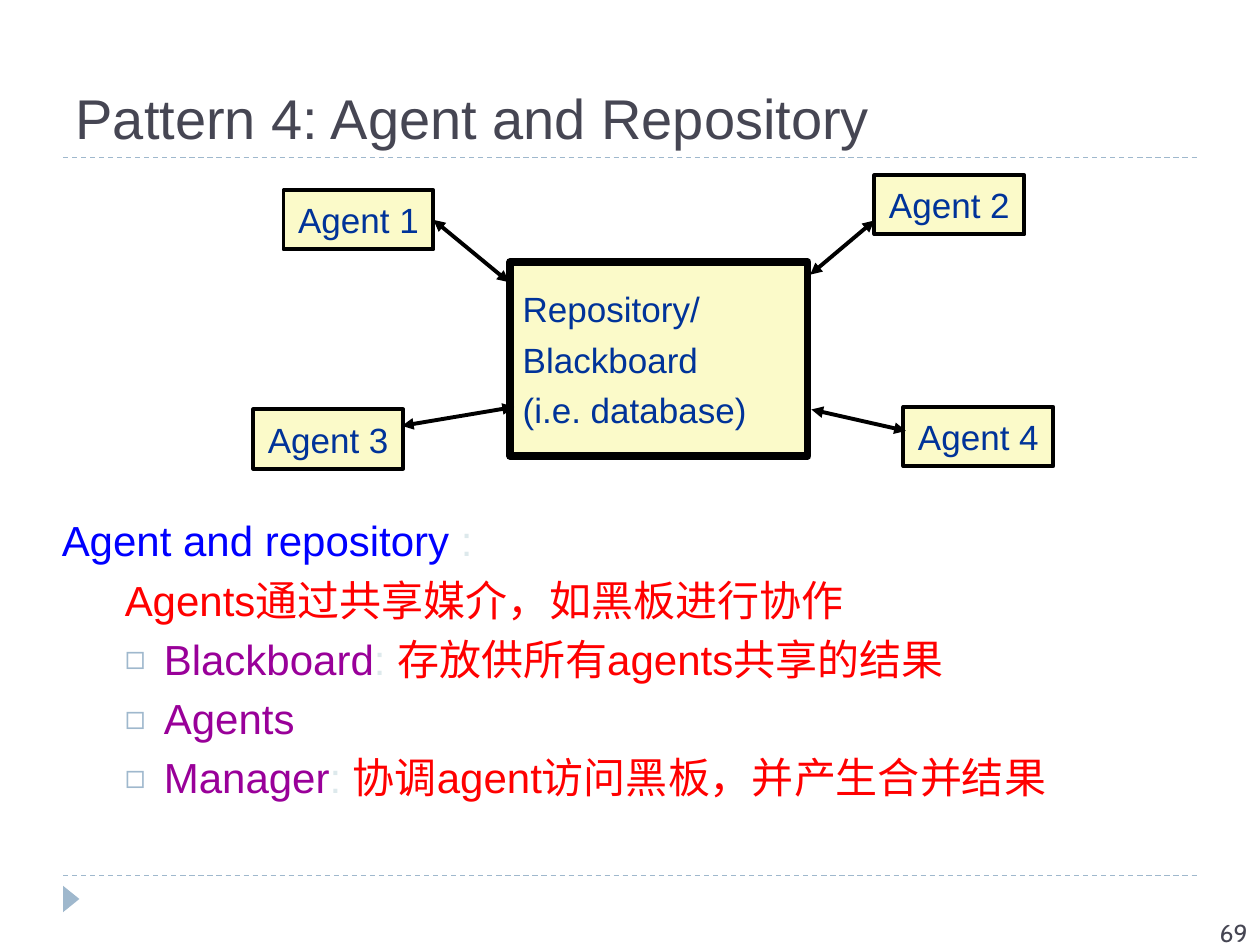
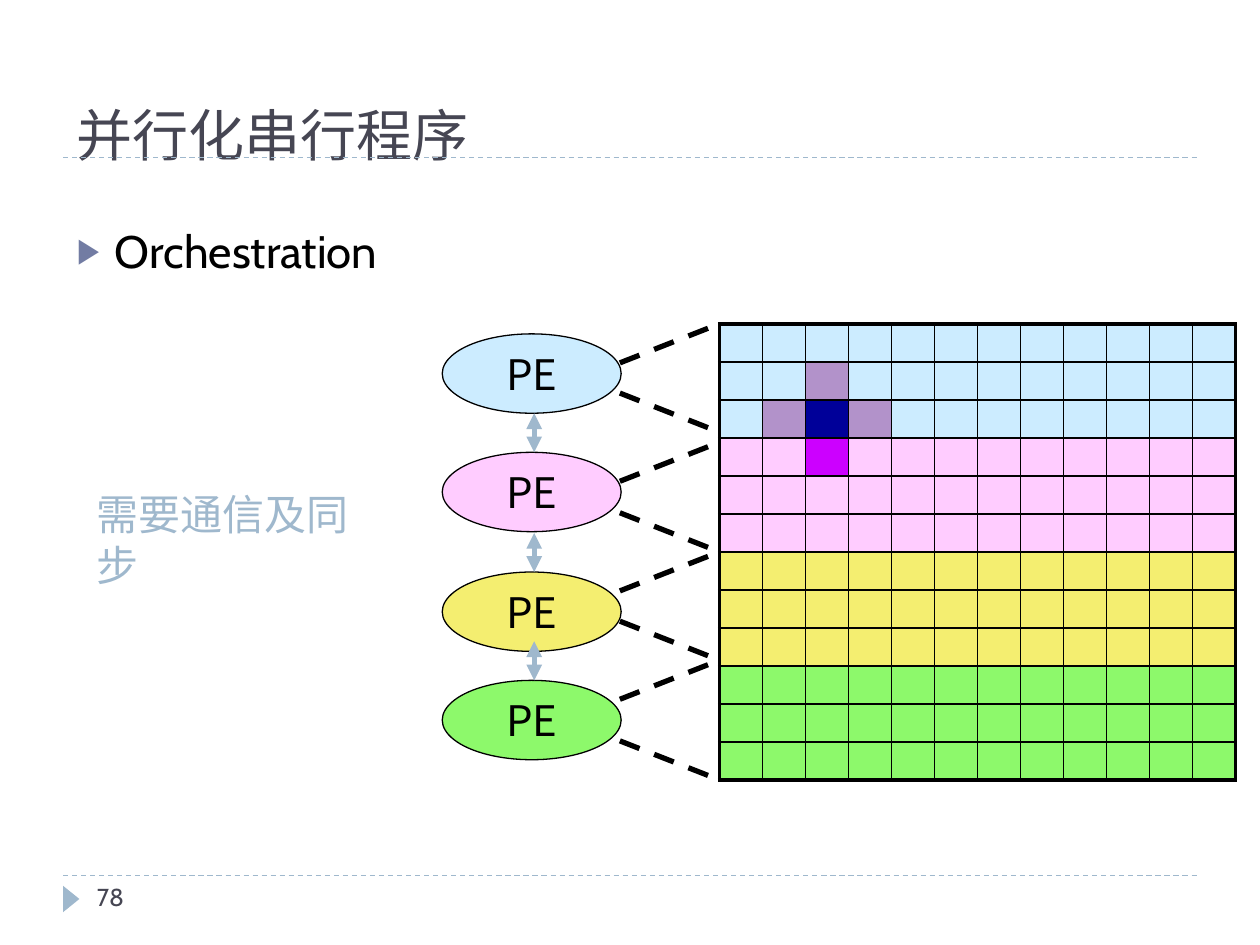
"""Build two slides: an agent and repository diagram, and a grid shared by PEs."""
from lxml.etree import SubElement
from pptx import Presentation
from pptx.dml.color import RGBColor
from pptx.enum.dml import MSO_LINE
from pptx.enum.shapes import MSO_CONNECTOR, MSO_SHAPE
from pptx.enum.text import MSO_ANCHOR, MSO_AUTO_SIZE, PP_ALIGN
from pptx.oxml.ns import qn
from pptx.util import Inches, Pt

BLACK, INK, STEEL, SLATE = "000000", "464653", "9FB8CD", "727CA3"
CREAM, NAVY, RED, BLUE = "FBFAC9", "003399", "FF0000", "0000FF"
PURPLE, PALE = "990099", "DDE9EC"
SKY, PINK, GOLD, LIME = "CCECFF", "FFCCFF", "F4EE70", "8DF96B"
LILAC, DEEP, VIOLET = "B292CA", "000099", "CC00FF"
SANS, CABIN, SLAB, NOTO = "Arial", "Cabin", "Roboto Slab", "Noto Sans CJK JP"
LEFT, CENTER, RIGHT = PP_ALIGN.LEFT, PP_ALIGN.CENTER, PP_ALIGN.RIGHT


def shade(code):
    return RGBColor.from_string(code)


def write(para, text, size=24, color=BLACK, font=SANS, align=LEFT, before=0):
    para.alignment = align
    para.space_before = Pt(before)
    run = para.add_run()
    run.text = text
    run.font.size = Pt(size)
    run.font.name = font
    run.font.color.rgb = shade(color)
    SubElement(run.font._element, qn("a:ea"), typeface=SANS)


def indent(para, margin, hang, mark=None, color=STEEL, size=80):
    props = para._p.get_or_add_pPr()
    props.set("marL", str(Inches(margin)))
    props.set("indent", str(Inches(-hang)))
    if mark is None:
        SubElement(props, qn("a:buNone"))
        return
    tint = SubElement(props, qn("a:buClr"))
    SubElement(tint, qn("a:srgbClr"), val=color)
    SubElement(props, qn("a:buSzPct"), val=str(size * 1000))
    SubElement(props, qn("a:buChar"), char=mark)


def place(holder, spot, anchor):
    holder.left, holder.top, holder.width, holder.height = map(Inches, spot)
    frame = holder.text_frame
    frame.auto_size = MSO_AUTO_SIZE.NONE
    frame.vertical_anchor = anchor
    return frame


def label(slide, spot, text, **style):
    frame = slide.shapes.add_textbox(*map(Inches, spot)).text_frame
    frame.word_wrap = True
    write(frame.paragraphs[0], text, **style)


def block(slide, kind, spot, fill, lines=(), edge=None, **style):
    shape = slide.shapes.add_shape(kind, *map(Inches, spot))
    shape.shadow.inherit = False
    shape.fill.solid()
    shape.fill.fore_color.rgb = shade(fill)
    if edge:
        shape.line.color.rgb = shade(BLACK)
        shape.line.width = Pt(edge)
    else:
        shape.line.fill.background()
    frame = shape.text_frame
    frame.word_wrap = True
    frame.vertical_anchor = MSO_ANCHOR.MIDDLE
    for n, text in enumerate(lines):
        para = frame.add_paragraph() if n else frame.paragraphs[0]
        write(para, text, before=5 if n else 0, **style)
    return shape


def link(slide, start, end, color=BLACK, width=2.25, dash=False, heads=False):
    line = slide.shapes.add_connector(
        MSO_CONNECTOR.STRAIGHT, *map(Inches, (*start, *end)))
    line.line.color.rgb = shade(color)
    line.line.width = Pt(width)
    if dash:
        line.line.dash_style = MSO_LINE.DASH
    if heads:
        for tag in ("a:headEnd", "a:tailEnd"):
            SubElement(line.line._ln, qn(tag), type="triangle")
    SubElement(line._element.spPr, qn("a:effectLst"))
    return line


def start(deck, title, spot, font):
    slide = deck.slides.add_slide(deck.slide_layouts[1])
    for y in (6.95, 1.25):
        link(slide, (0.5, y), (9.5, y), color=STEEL, width=0.75, dash=True)
    mark = block(slide, MSO_SHAPE.ISOSCELES_TRIANGLE,
                 (0.46, 7.07, 0.21, 0.13), STEEL)
    mark.rotation = 90
    frame = place(slide.shapes.title, spot, MSO_ANCHOR.BOTTOM)
    write(frame.paragraphs[0], title, size=32, color=INK, font=font)
    return slide


def border(cell, sides):
    props = cell._tc.get_or_add_tcPr()
    for side, thick in zip("LRTB", sides):
        edge = SubElement(props, qn("a:ln" + side),
                          w=str(Pt(2.25 if thick else 1)))
        fill = SubElement(edge, qn("a:solidFill"))
        SubElement(fill, qn("a:srgbClr"), val=BLACK)


def grid(slide, spot, bands, marks, count=12):
    table = slide.shapes.add_table(count, count, *map(Inches, spot)).table
    table.first_row = table.horz_banding = False
    for col in table.columns:
        col.width = Inches(spot[2] / count)
    for row in table.rows:
        row.height = Inches(spot[3] / count)
    last, deep = count - 1, count // len(bands)
    for r in range(count):
        for c in range(count):
            cell = table.cell(r, c)
            cell.margin_top = cell.margin_bottom = 0
            SubElement(cell.text_frame.paragraphs[0]._p,
                       qn("a:endParaRPr"), sz="800")
            border(cell, (c == 0, c == last, r == 0, r == last))
            cell.fill.solid()
            cell.fill.fore_color.rgb = shade(
                marks.get((r, c), bands[r // deep]))


def agents(deck):
    slide = start(deck, "Pattern 4: Agent and Repository",
                  (0.5, 0.17, 9, 1.08), SANS)
    label(slide, (7.67, 7.24, 2.33, 0.26), "69",
          size=14, color=INK, font=CABIN, align=RIGHT)
    block(slide, MSO_SHAPE.RECTANGLE, (4.05, 2.08, 2.36, 1.54), CREAM,
          ("Repository/", "Blackboard", "(i.e. database)"),
          edge=4.5, size=20, color=NAVY)
    spots = ((2.25, 1.51), (6.94, 1.39), (2.01, 3.25), (7.17, 3.23))
    boxes = [block(slide, MSO_SHAPE.RECTANGLE, (*spot, 1.19, 0.47), CREAM,
                   (f"Agent {n}",), edge=2.25, size=20, color=NAVY,
                   align=CENTER)
             for n, spot in enumerate(spots, 1)]
    ends = (((4.04, 2.24), (3.47, 1.75)), ((6.43, 2.18), (6.94, 1.75)),
            ((4.08, 3.23), (3.19, 3.38)), ((6.44, 3.25), (7.19, 3.42)))
    arrows = [link(slide, *pair, heads=True) for pair in ends]
    arrows[0].end_connect(boxes[0], 3)

    items = (
        (0, None, (("Agent and repository ", BLUE), (":", PALE))),
        (1, None, (("Agents通过共享媒介，如黑板进行协作", RED),)),
        (1, "◻", (("Blackboard", PURPLE), (": ", PALE),
                  ("存放供所有agents共享的结果", RED))),
        (1, "◻", (("Agents", PURPLE),)),
        (1, "◻", (("Manager", PURPLE), (": ", PALE),
                  ("协调agent访问黑板，并产生合并结果", RED))),
    )
    frame = place(slide.placeholders[1], (0.39, 4.08, 9.08, 2.94),
                  MSO_ANCHOR.TOP)
    for n, (level, mark, runs) in enumerate(items):
        para = frame.add_paragraph() if n else frame.paragraphs[0]
        para.level = level
        para.line_spacing = 0.9
        indent(para, *((0.81, 0.31) if level else (0.38, 0.38)), mark)
        for text, color in runs:
            write(para, text, color=color, before=8 if n else 0)


def stencil(deck):
    slide = start(deck, "并行化串行程序", (0.51, 0.36, 8.9, 1.02), SLAB)
    label(slide, (0.67, 6.95, 2.17, 0.4), "78",
          size=14, color=INK, font=CABIN)
    frame = place(slide.placeholders[1], (0.51, 1.72, 7.41, 3.84),
                  MSO_ANCHOR.TOP)
    para = frame.paragraphs[0]
    indent(para, 0.3, 0.3, "▶", color=SLATE, size=76)
    write(para, "Orchestration", size=26, font=CABIN)

    marks = {(1, 2): LILAC, (2, 1): LILAC, (2, 3): LILAC,
             (2, 2): DEEP, (3, 2): VIOLET}
    grid(slide, (5.71, 2.57, 4.1, 3.62), (SKY, PINK, GOLD, LIME), marks)
    nodes = ((SKY, 2.65, 2.57, 3.43), (PINK, 3.59, 3.51, 4.38),
             (GOLD, 4.54, 4.38, 5.24), (LIME, 5.4, 5.24, 6.19))
    rise = 0.31
    for fill, top, high, low in nodes:
        block(slide, MSO_SHAPE.OVAL, (3.51, top, 1.42, 0.63), fill, ("PE",),
              edge=0.75, font=NOTO, align=CENTER)
        link(slide, (4.92, high + rise), (5.71, high), width=3, dash=True)
        link(slide, (4.92, low - rise), (5.71, low), width=3, dash=True)
    label(slide, (0.67, 3.83, 2.2, 0.91), "需要通信及同步",
          color=STEEL, font=NOTO)
    for _, top, _, _ in nodes[1:]:
        link(slide, (4.24, top - rise), (4.24, top),
             color=STEEL, width=3, heads=True)


def main():
    deck = Presentation()
    deck.slide_width, deck.slide_height = Inches(10), Inches(7.5)
    agents(deck)
    stencil(deck)
    deck.save("out.pptx")


if __name__ == "__main__":
    main()
